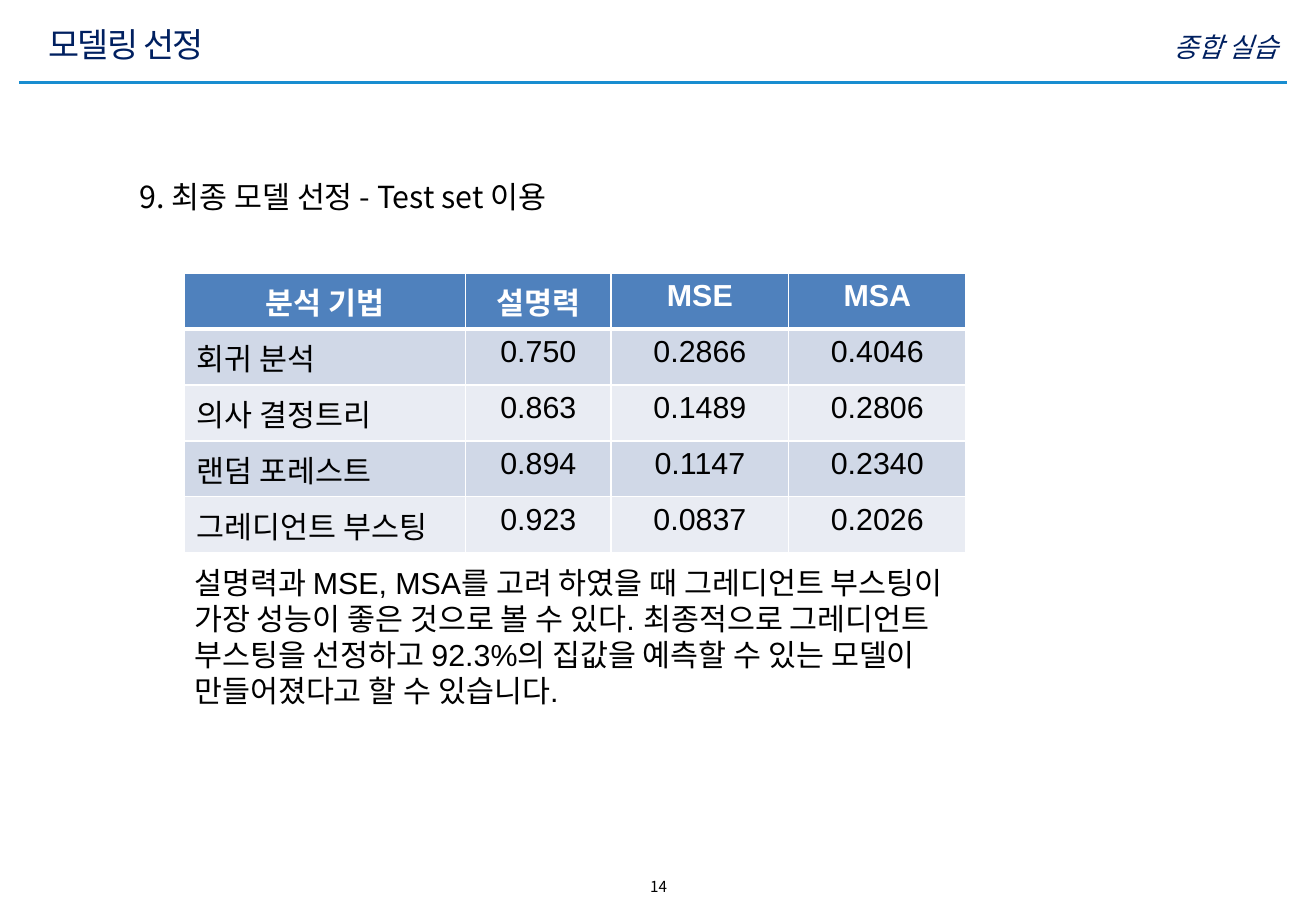
from pptx import Presentation
from pptx.dml.color import RGBColor
from pptx.enum.shapes import MSO_CONNECTOR
from pptx.enum.text import MSO_ANCHOR, PP_ALIGN
from pptx.oxml.ns import qn
from pptx.util import Inches, Pt
from lxml import etree

LEFT, CENTER, RIGHT = PP_ALIGN.LEFT, PP_ALIGN.CENTER, PP_ALIGN.RIGHT
TOP, MIDDLE = MSO_ANCHOR.TOP, MSO_ANCHOR.MIDDLE
STRAIGHT = MSO_CONNECTOR.STRAIGHT
KOREAN, LATIN = "Noto Sans CJK KR", "Arial"
BLACK, WHITE, NAVY, RULE_BLUE = "000000", "FFFFFF", "002060", "188DD0"
HEADER_FILL, BAND_FILLS = "4F81BD", ("D0D8E7", "E9ECF3")

# Content
TITLE = "모델링\u00a0선정"
COURSE = "종합 실습"
HEADING = "9. 최종 모델 선정 - Test set\u00a0이용"
CONCLUSION = (
    "설명력과 MSE, MSA를 고려 하였을 때 그레디언트 부스팅이 가장 성능이 "
    "좋은 것으로 볼 수 있다. 최종적으로 그레디언트 부스팅을 선정하고 "
    "92.3%의 집값을 예측할 수 있는 모델이 만들어졌다고 할 수 있습니다."
)
PAGE_NUMBER = "14"
MODEL_SCORES = [
    ("분석 기법", "설명력", "MSE", "MSA"),
    ("회귀 분석", "0.750", "0.2866", "0.4046"),
    ("의사 결정트리", "0.863", "0.1489", "0.2806"),
    ("랜덤 포레스트", "0.894", "0.1147", "0.2340"),
    ("그레디언트 부스팅", "0.923", "0.0837", "0.2026"),
]
COLUMN_WIDTHS = (2.31, 1.2, 1.46, 1.46)
ROW_HEIGHT = 0.46


def rgb(color):
    return RGBColor.from_string(color)


def write(frame, text, size, color=BLACK, font=LATIN, align=LEFT, bold=False, italic=False):
    frame.text = text
    para = frame.paragraphs[0]
    para.alignment = align
    span = para.runs[0]
    span.font.size, span.font.name = Pt(size), font
    span.font.bold, span.font.italic = bold, italic
    span.font.color.rgb = rgb(color)
    etree.SubElement(span.font._element, qn("a:ea"), typeface=KOREAN)
    return para


def add_text(left, top, width, height, text, size, anchor=TOP, wrap=True, **style):
    box = page.shapes.add_textbox(Inches(left), Inches(top), Inches(width), Inches(height))
    box.text_frame.word_wrap = wrap
    box.text_frame.vertical_anchor = anchor
    return write(box.text_frame, text, size, **style)


def set_borders(cell, widths):
    properties = cell._tc.get_or_add_tcPr()
    for index, (side, width) in enumerate(widths.items()):
        border = etree.Element(qn(f"a:{side}"), w=str(Pt(width)))
        fill = etree.SubElement(border, qn("a:solidFill"))
        etree.SubElement(fill, qn("a:srgbClr"), val=WHITE)
        properties.insert(index, border)


deck = Presentation()
deck.slide_width, deck.slide_height = Inches(10.83), Inches(7.5)
page = deck.slides.add_slide(deck.slide_layouts[6])

# Header rule
rule = page.shapes.add_connector(STRAIGHT, Inches(0.16), Inches(0.68), Inches(10.59), Inches(0.68))
rule.line.color.rgb = rgb(RULE_BLUE)
rule.line.width = Pt(2)
etree.SubElement(rule._element.spPr, qn("a:effectLst"))

# Title, course label, heading and page number
title = add_text(0.3, 0.15, 8.5, 0.43, TITLE, 20, anchor=MIDDLE, color=NAVY)
title.runs[0].font._element.set("spc", "-90")
add_text(6.55, 0.2, 4.07, 0.42, COURSE, 16, color=NAVY, font=KOREAN, align=RIGHT, italic=True)
add_text(1.05, 1.42, 6.78, 0.46, HEADING, 18, wrap=False, font=KOREAN)
add_text(4.39, 7.17, 2.06, 0.28, PAGE_NUMBER, 9, font=KOREAN, align=CENTER)

# Score table
table = page.shapes.add_table(
    len(MODEL_SCORES), len(COLUMN_WIDTHS), Inches(1.52), Inches(2.25),
    Inches(sum(COLUMN_WIDTHS)), Inches(ROW_HEIGHT * len(MODEL_SCORES)),
).table
for column, width in zip(table.columns, COLUMN_WIDTHS):
    column.width = Inches(width)
for row_index, values in enumerate(MODEL_SCORES):
    is_header = row_index == 0
    table.rows[row_index].height = Inches(ROW_HEIGHT)
    for column_index, value in enumerate(values):
        cell = table.cell(row_index, column_index)
        cell.fill.solid()
        cell.fill.fore_color.rgb = rgb(HEADER_FILL if is_header else BAND_FILLS[(row_index - 1) % 2])
        write(
            cell.text_frame, value, 18, color=WHITE if is_header else BLACK, bold=is_header,
            align=CENTER if is_header or column_index else LEFT,
        )
        set_borders(cell, {
            "lnL": 1, "lnR": 1,
            "lnT": 3 if row_index == 1 else 1,
            "lnB": 3 if is_header else 1,
        })

# Conclusion
conclusion = add_text(1.5, 4.6, 6.65, 1.3, CONCLUSION, 18)
conclusion.line_spacing = Pt(21.3)

deck.save("out.pptx")
